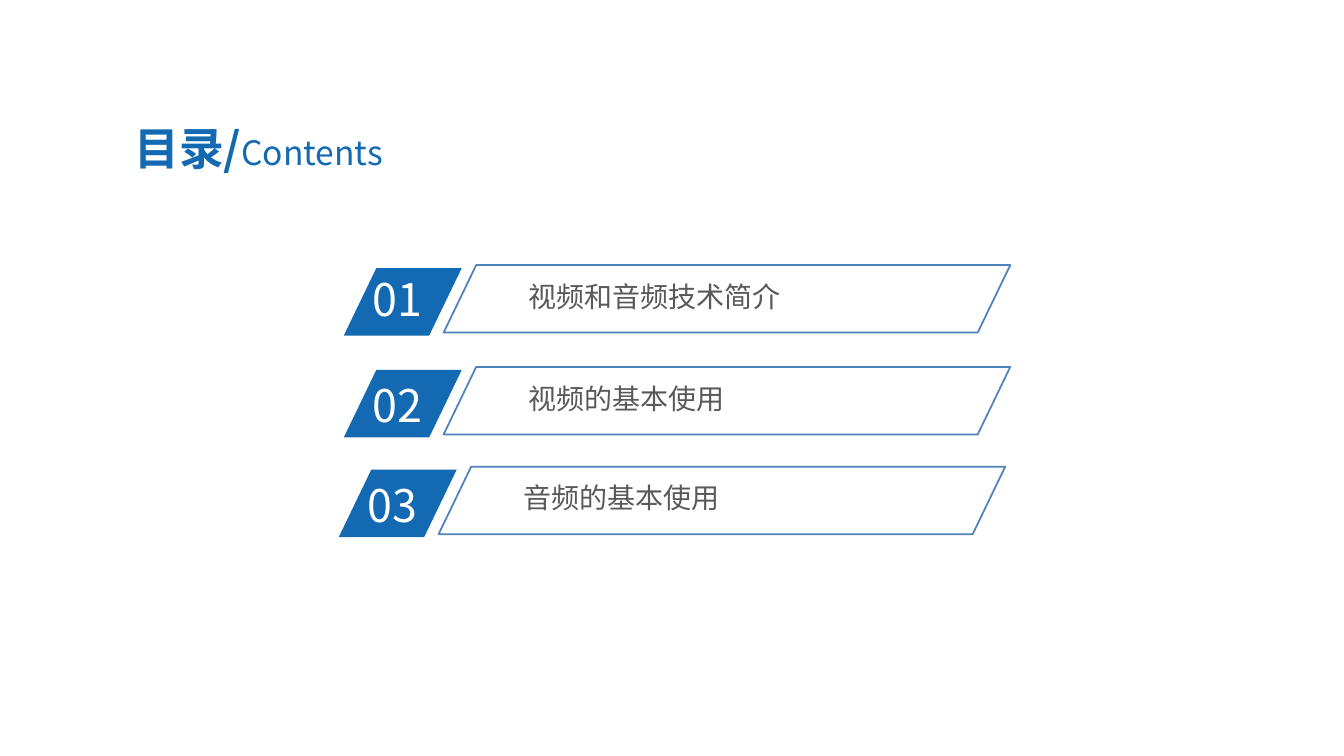
from dataclasses import dataclass

from pptx import Presentation
from pptx.dml.color import RGBColor
from pptx.enum.shapes import MSO_SHAPE
from pptx.enum.text import MSO_ANCHOR, MSO_AUTO_SIZE, PP_ALIGN
from pptx.oxml.ns import qn
from pptx.util import Inches, Pt


@dataclass(frozen=True)
class Theme:
    font: str = "Noto Sans CJK SC"
    blue: RGBColor = RGBColor(0x13, 0x69, 0xB2)
    outline: RGBColor = RGBColor(0x4F, 0x81, 0xBD)
    gray: RGBColor = RGBColor(0x59, 0x59, 0x59)
    white: RGBColor = RGBColor(0xFF, 0xFF, 0xFF)
    large: int = 32
    medium: int = 24
    small: int = 20


THEME = Theme()
ENTRIES = [
    ("01", "视频和音频技术简介", 3.41, 2.66, -0.01),
    ("02", "视频的基本使用", 3.41, 3.67, 0.03),
    ("03", "音频的基本使用", 3.36, 4.66, 0.03),
]


def add_run(paragraph, text, size, color, bold=False):
    run = paragraph.add_run()
    run.text = text
    font = run.font
    font.name, font.size, font.bold = THEME.font, Pt(size), bold
    font.color.rgb = color
    east_asian = font._element.makeelement(qn("a:ea"), {"typeface": THEME.font})
    font._element.find(qn("a:latin")).addnext(east_asian)


def set_insets(frame, horizontal, vertical):
    frame.margin_left = frame.margin_right = Inches(horizontal)
    frame.margin_top = frame.margin_bottom = Inches(vertical)


def add_title(slide):
    title = slide.shapes.title
    title.left, title.top = Inches(0.92), Inches(1.1)
    title.width, title.height = Inches(3.29), Inches(0.72)
    frame = title.text_frame
    frame.auto_size = MSO_AUTO_SIZE.NONE
    frame.vertical_anchor = MSO_ANCHOR.MIDDLE
    set_insets(frame, 0.13, 0.07)
    paragraph = frame.paragraphs[0]
    paragraph.alignment = PP_ALIGN.CENTER
    paragraph.space_before = Pt(6)
    add_run(paragraph, "目录/", THEME.large, THEME.blue, bold=True)
    add_run(paragraph, "Contents", THEME.medium, THEME.blue)


def add_parallelogram(shapes, left, top, width):
    shape = shapes.add_shape(
        MSO_SHAPE.PARALLELOGRAM, Inches(left), Inches(top), Inches(width), Inches(0.67)
    )
    shape.adjustments[0] = 0.482
    shape.shadow.inherit = False
    return shape


def add_text(shapes, text, left, top, width, height, size, color, insets):
    box = shapes.add_textbox(Inches(left), Inches(top), Inches(width), Inches(height))
    frame = box.text_frame
    frame.word_wrap = True
    frame.auto_size = MSO_AUTO_SIZE.SHAPE_TO_FIT_TEXT
    set_insets(frame, *insets)
    add_run(frame.paragraphs[0], text, size, color)


def add_entry(slide, number, label, left, top, number_shift):
    badge = slide.shapes.add_group_shape().shapes
    tile = add_parallelogram(badge, left, top, 1.17)
    tile.fill.solid()
    tile.fill.fore_color.rgb = THEME.blue
    tile.line.fill.background()
    add_text(badge, number, left + 0.19, top + number_shift, 1.12, 0.64,
             THEME.large, THEME.white, (0.1, 0.05))

    banner = slide.shapes.add_group_shape().shapes
    add_text(banner, label, left + 1.76, top + 0.07, 4.12, 0.41,
             THEME.small, THEME.gray, (0.07, 0.04))
    border = add_parallelogram(banner, left + 0.99, top - 0.03, 5.62)
    border.fill.background()
    border.line.color.rgb = THEME.outline
    border.line.width = Pt(1.25)


def main():
    presentation = Presentation()
    presentation.slide_width, presentation.slide_height = Inches(13.33), Inches(7.5)
    slide = presentation.slides.add_slide(presentation.slide_layouts[5])
    add_title(slide)
    for entry in ENTRIES:
        add_entry(slide, *entry)
    presentation.save("out.pptx")


if __name__ == "__main__":
    main()
